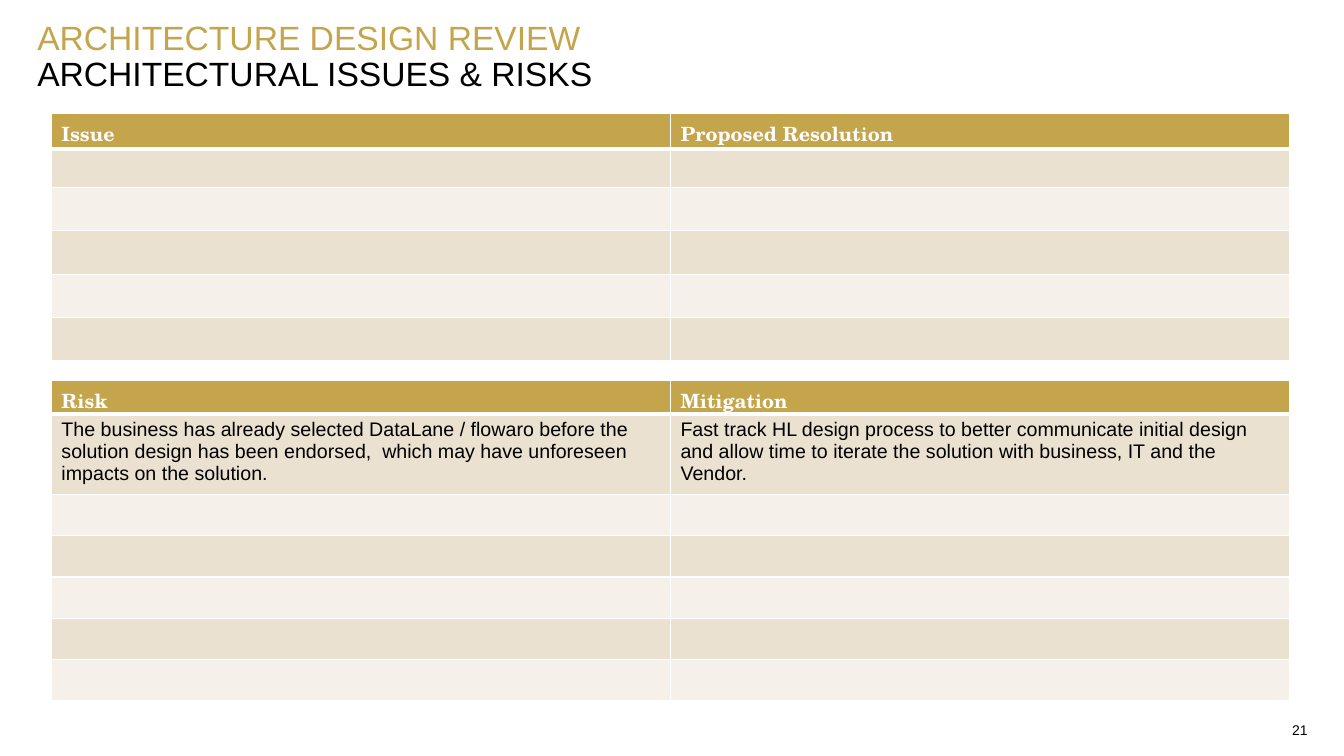
from lxml.etree import SubElement
from pptx import Presentation
from pptx.dml.color import RGBColor
from pptx.enum.text import MSO_ANCHOR as Anchor, PP_ALIGN as Align
from pptx.oxml.ns import qn
from pptx.util import Inches, Pt

GOLD = RGBColor(0xC4, 0xA5, 0x4B)
SAND = RGBColor(0xEA, 0xE1, 0xD0)
CREAM = RGBColor(0xF5, 0xF0, 0xE9)
WHITE = RGBColor(0xFF, 0xFF, 0xFF)
BLACK = RGBColor(0, 0, 0)

HEADING = {"name": "TeX Gyre Schola", "size": Pt(14), "bold": True, "color": WHITE}
BODY = {"name": "Arial", "size": Pt(14), "bold": False, "color": BLACK}
TITLE = {"name": "Arial", "size": Pt(24), "color": GOLD}
SUBTITLE = {**TITLE, "color": BLACK}
PAGE_NUMBER = {"name": "Arial", "size": Pt(10), "color": BLACK}

ISSUES = [("Issue", "Proposed Resolution")] + [("", "")] * 5
RISKS = [
    ("Risk", "Mitigation"),
    (
        "The business has already selected DataLane / flowaro before the solution design "
        "has been endorsed,  which may have unforeseen impacts on the solution.",
        "Fast track HL design process to better communicate initial design  and allow time "
        "to iterate the solution with business, IT and the Vendor.",
    ),
] + [("", "")] * 5


def write(paragraph, words, style):
    run = paragraph.add_run()
    run.text = words
    for attribute, value in style.items():
        if attribute == "color":
            run.font.color.rgb = value
        else:
            setattr(run.font, attribute, value)


def add_line(slide, box, words, style, anchor=Anchor.TOP, **layout):
    frame = slide.shapes.add_textbox(*map(Inches, box)).text_frame
    frame.word_wrap = True
    frame.vertical_anchor = anchor
    for side in ("left", "top", "right", "bottom"):
        setattr(frame, f"margin_{side}", 0)
    paragraph = frame.paragraphs[0]
    for attribute, value in layout.items():
        setattr(paragraph, attribute, value)
    write(paragraph, words, style)


def set_borders(cell, row):
    widths = {"L": 1, "R": 1, "T": 3 if row == 1 else 1, "B": 3 if row == 0 else 1}
    properties = cell._tc.get_or_add_tcPr()
    for side, width in widths.items():
        line = SubElement(properties, qn(f"a:ln{side}"), w=str(Pt(width)))
        fill = SubElement(line, qn("a:solidFill"))
        SubElement(fill, qn("a:srgbClr"), val=str(WHITE))


def add_register(slide, box, entries, heights):
    table = slide.shapes.add_table(len(entries), 2, *map(Inches, box)).table
    for column in table.columns:
        column.width = Inches(box[2] / 2)
    for row, (entry, height) in enumerate(zip(entries, heights)):
        table.rows[row].height = Inches(height)
        for column, words in enumerate(entry):
            cell = table.cell(row, column)
            set_borders(cell, row)
            cell.fill.solid()
            cell.fill.fore_color.rgb = GOLD if row == 0 else SAND if row % 2 else CREAM
            paragraph = cell.text_frame.paragraphs[0]
            if words:
                write(paragraph, words, BODY if row else HEADING)
            else:
                paragraph._p.get_or_add_endParaRPr().set("sz", "1400")


def add_header(slide, box):
    left, top, width, height = box
    add_line(slide, (left, top, width, 0.31), "ARCHITECTURE DESIGN REVIEW", TITLE,
             line_spacing=0.8)
    add_line(slide, (left, top + 0.35, width, height - 0.35),
             "ARCHITECTURAL ISSUES & RISKS", SUBTITLE, line_spacing=0.85)


def main():
    deck = Presentation()
    deck.slide_width, deck.slide_height = Inches(13.33), Inches(7.5)
    slide = deck.slides.add_slide(deck.slide_layouts[6])
    add_header(slide, (0.37, 0.24, 12.6, 0.72))
    add_register(slide, (0.51, 1.13, 12.28, 2.44), ISSUES, [0.35, 0.38] + [0.43] * 4)
    add_register(slide, (0.51, 3.77, 12.28, 3.16), RISKS, [0.32] + [0.41] * 6)
    add_line(slide, (11.41, 7.12, 1.56, 0.24), "21", PAGE_NUMBER, Anchor.MIDDLE,
             alignment=Align.RIGHT)
    deck.save("out.pptx")


if __name__ == "__main__":
    main()
